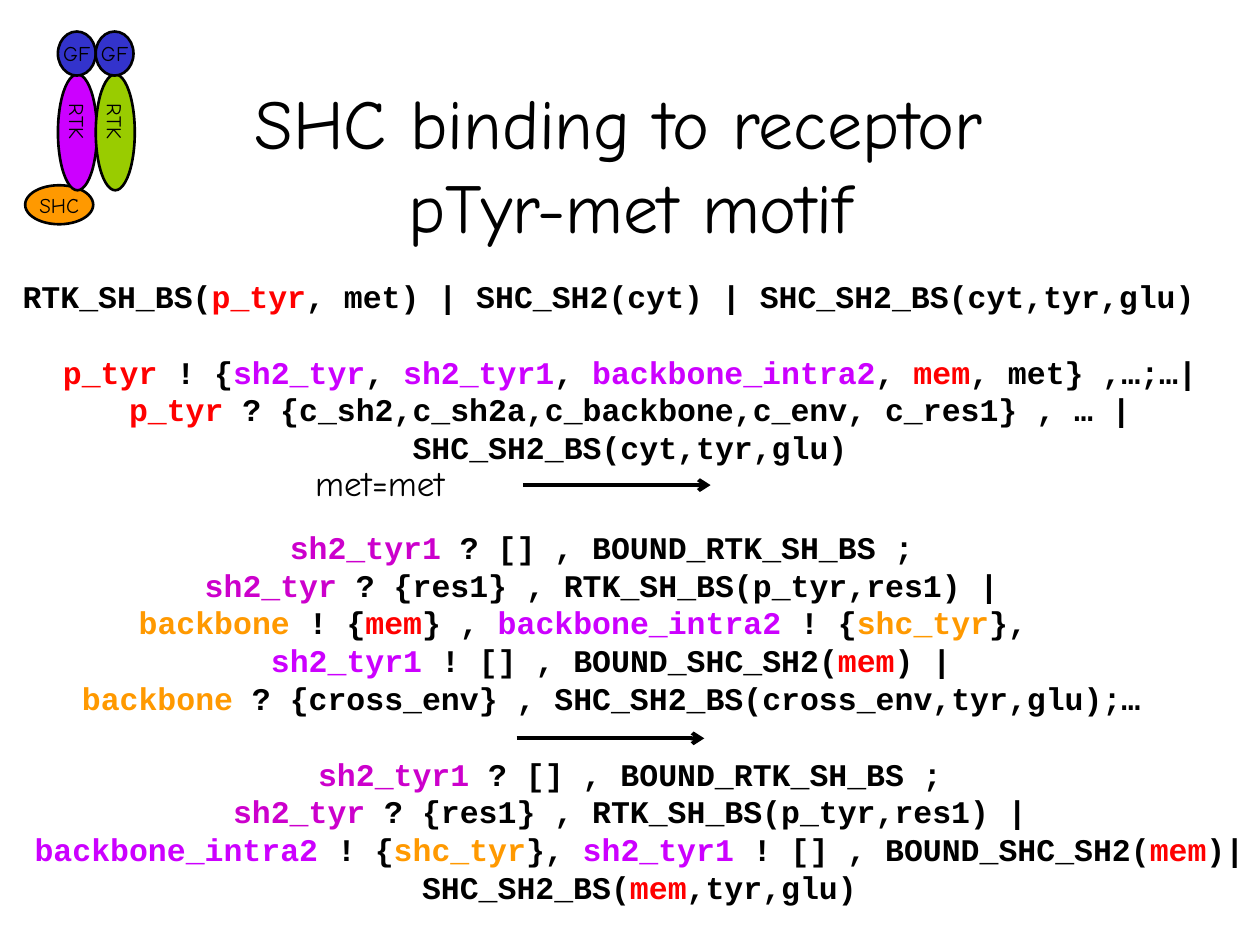
from pptx import Presentation
from pptx import util as u
from pptx.dml.color import RGBColor
from pptx.enum import shapes, text
from pptx.oxml.ns import qn
from lxml import etree

WIDTH, HEIGHT = 10, 7.5
COLORS = dict(black="000000", red="FF0000", violet="CC00FF", plum="CC00CC",
              orange="FF9900", lime="99CC00", blue="3333CC")
HAND = dict(name="Comic Neue", bold=False)
CODE = dict(name="Courier New", bold=True, size=u.Pt(18))

# Content: each line alternates plain pieces and (colour, piece) pairs
P_TYR, MEM = ("red", "p_tyr"), ("red", "mem")
TYR, TYR1 = ("violet", "sh2_tyr"), ("violet", "sh2_tyr1")
BACKBONE, INTRA = ("orange", "backbone"), ("violet", "backbone_intra2")
SHC_TYR = ("orange", "shc_tyr")
RECEPTOR = [
    [("plum", "sh2_tyr1"), " ? [] , BOUND_RTK_SH_BS ;"],
    [("plum", "sh2_tyr"), " ? {res1} , RTK_SH_BS(p_tyr,res1) |"],
]
title = [["SHC binding to receptor "], ["pTyr-met motif"]]
start = [["RTK_SH_BS(", P_TYR, ", met) | SHC_SH2(cyt) | SHC_SH2_BS(cyt,tyr,glu) "]]
offers = [
    [P_TYR, " ! {", TYR, ", ", TYR1, ", ", INTRA, ", ", MEM, ", met} ,…;…|"],
    [P_TYR, " ? {c_sh2,c_sh2a,c_backbone,c_env, c_res1} , … |"],
    [" SHC_SH2_BS(cyt,tyr,glu) "],
]
bound = RECEPTOR + [
    [" ", BACKBONE, " ! {", MEM, "} , ", INTRA, " ! {", SHC_TYR, "},   "],
    [" ", TYR1, " ! [] , BOUND_SHC_SH2(", MEM, ") |"],
    [" ", BACKBONE, " ? {cross_env} , SHC_SH2_BS(cross_env,tyr,glu);…"],
]
final = RECEPTOR + [
    [" ", INTRA, " ! {", SHC_TYR, "}, ", TYR1, " ! [] , BOUND_SHC_SH2(", MEM, ")|"],
    [" SHC_SH2_BS(", MEM, ",tyr,glu)"],
]

# lines, (left, top, width, height), font, wrap, anchor
TOP, MIDDLE = text.MSO_ANCHOR.TOP, text.MSO_ANCHOR.MIDDLE
blocks = [
    (title, (0.75, 0.67, 8.5, 1.25), dict(HAND, size=u.Pt(40)), True, MIDDLE),
    (start, (0.08, 2.15, 9.65, 0.4), CODE, False, TOP),
    (offers, (0.4, 2.75, 9.2, 1), CODE, True, TOP),
    ([["met=met"]], (2.14, 3.65, 1.75, 0.36), dict(HAND, size=u.Pt(20)), False, MIDDLE),
    (bound, (0.4, 4.14, 8.75, 1.6), CODE, False, TOP),
    (final, (0, 5.94, WIDTH, 1.6), CODE, True, TOP),
]
reactions = [(4.15, 3.85), (4.1, 5.86)]
REACTION_LENGTH = 1.49

# Receptor complex, back to front: label, colour, box, vertical, space before
CHAIN_X, CHAIN_STEP = 0.46, 0.3
chains = [CHAIN_X, CHAIN_X + CHAIN_STEP]
complex_parts = [("SHC", "orange", (0.2, 1.47, 0.54, 0.31), False, 0)]
complex_parts += [("RTK", color, (x, 0.59, 0.31, 0.92), True, 0)
                  for x, color in zip(chains, ("violet", "lime"))]
complex_parts += [("GF", "blue", (x, 0.25, 0.3, 0.35), False, 7.5) for x in chains]


def rgb(color):
    return RGBColor.from_string(COLORS[color])


def inches(box):
    return [u.Inches(length) for length in box]


def write(frame, lines, font, wrap, anchor, before=0):
    frame.word_wrap, frame.vertical_anchor = wrap, anchor
    paragraph = frame.paragraphs[0]
    paragraph.alignment = text.PP_ALIGN.CENTER
    paragraph.space_before = u.Pt(before)
    for number, line in enumerate(lines):
        if number:
            paragraph.add_line_break()
        for piece in line:
            color, words = ("black", piece) if isinstance(piece, str) else piece
            run = paragraph.add_run()
            run.text = words
            run.font.color.rgb = rgb(color)
            for key, value in font.items():
                setattr(run.font, key, value)
    # Line breaks take the size and face of the text around them
    for line_break in paragraph._p.findall(qn("a:br")):
        props = etree.SubElement(line_break, qn("a:rPr"), sz=str(int(font["size"].pt * 100)))
        etree.SubElement(props, qn("a:latin"), typeface=font["name"])


deck = Presentation()
deck.slide_width, deck.slide_height = inches((WIDTH, HEIGHT))
slide = deck.slides.add_slide(deck.slide_layouts[6])

# Title and process terms
for lines, box, font, wrap, anchor in blocks:
    write(slide.shapes.add_textbox(*inches(box)).text_frame, lines, font, wrap, anchor)

# Reaction arrows
for x, y in reactions:
    arrow = slide.shapes.add_connector(shapes.MSO_CONNECTOR.STRAIGHT,
                                       *inches((x, y, x + REACTION_LENGTH, y)))
    arrow.line.color.rgb = rgb("black")
    arrow.line.width = u.Pt(2.24)
    etree.SubElement(arrow.line._get_or_add_ln(), qn("a:tailEnd"), type="arrow")
    etree.SubElement(arrow._element.spPr, qn("a:effectLst"))

# Receptor complex
for label, color, box, vertical, before in complex_parts:
    oval = slide.shapes.add_shape(shapes.MSO_SHAPE.OVAL, *inches(box))
    oval.shadow.inherit = False
    oval.fill.solid()
    oval.fill.fore_color.rgb = rgb(color)
    oval.line.color.rgb = rgb("black")
    oval.line.width = u.Pt(1.5)
    frame = oval.text_frame
    write(frame, [[label]], dict(HAND, size=u.Pt(12)), False, MIDDLE, before)
    if vertical:
        frame._txBody.bodyPr.set("vert", "eaVert")
        for side, margin in dict(left=0.05, top=0.1, right=0.05, bottom=0.1).items():
            setattr(frame, f"margin_{side}", u.Inches(margin))

deck.save("out.pptx")
